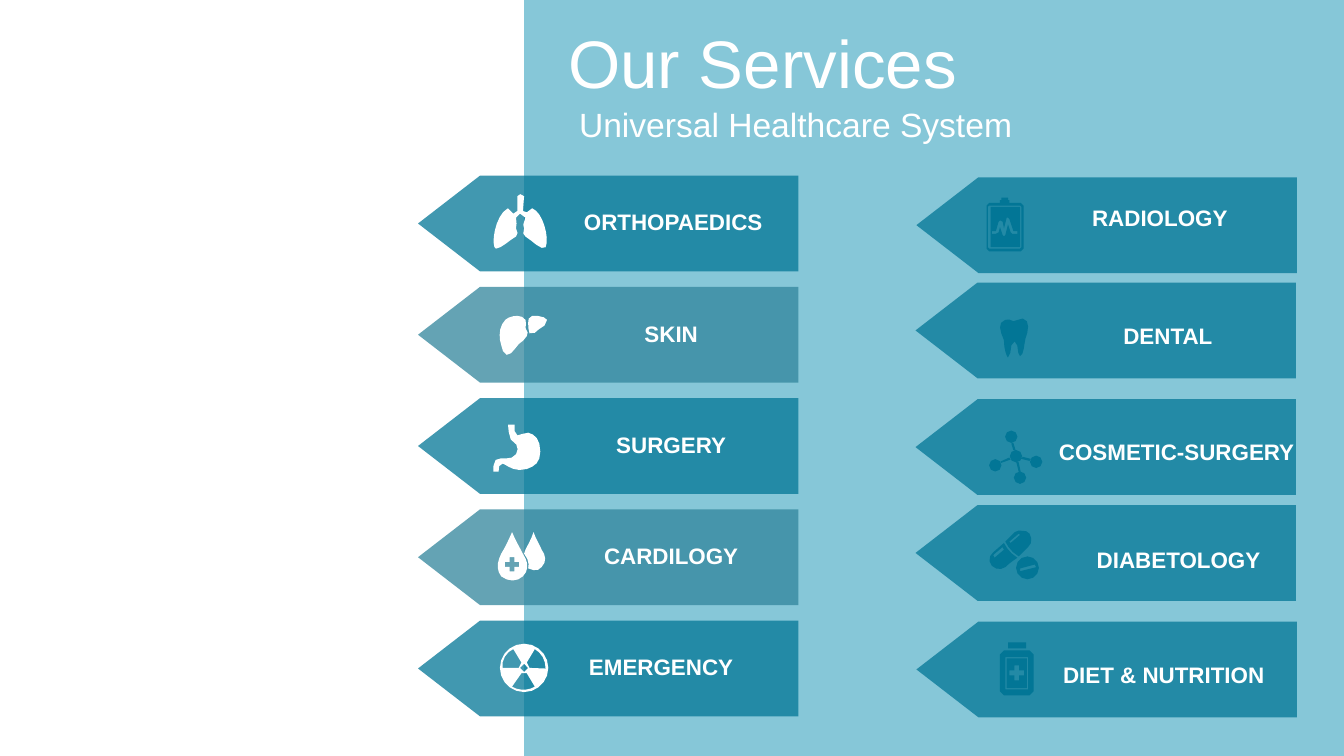
from dataclasses import dataclass
from math import ceil

from lxml.etree import SubElement
from pptx import Presentation
from pptx.dml.color import RGBColor
from pptx.enum.shapes import MSO_SHAPE as Preset
from pptx.enum.text import MSO_ANCHOR as Anchor, MSO_AUTO_SIZE as AutoSize, PP_ALIGN as Align
from pptx.oxml.ns import qn
from pptx.shapes.autoshape import Shape
from pptx.shapes.shapetree import SlideShapes
from pptx.util import Pt

WHITE, AQUA, TEAL, MUTED_TEAL = "FFFFFF", "4BACC6", "027696", "31859C"
ARROW_WIDTH, ARROW_HEIGHT, LABEL_HEIGHT = 203.8, 51.3, 21.6
LEFT_COLUMN, LEFT_TOP, LEFT_STEP, LABEL_DROP = 224, 94.1, 59.6, 14.1
ICON_UNIT = 0.72  # points per unit of the icon paths
CURVE_PIECE = 4  # icon units covered by one line of a curve
ARGUMENTS = {"M": 2, "L": 2, "C": 6, "Z": 0}


@dataclass
class Service:
    label: str
    center: float
    label_width: float
    icon: str
    arrow_left: float
    arrow_top: float
    label_top: float
    arrow_color: str
    icon_color: str


def round_box(left: float, top: float, right: float, bottom: float, radius: float = 0) -> str:
    near = radius * 0.45
    return (f"M {left + radius} {top} L {right - radius} {top} "
            f"C {right - near} {top} {right} {top + near} {right} {top + radius} "
            f"L {right} {bottom - radius} "
            f"C {right} {bottom - near} {right - near} {bottom} {right - radius} {bottom} "
            f"L {left + radius} {bottom} "
            f"C {left + near} {bottom} {left} {bottom - near} {left} {bottom - radius} "
            f"L {left} {top + radius} "
            f"C {left} {top + near} {left + near} {top} {left + radius} {top} Z ")


def circle(x: float, y: float, radius: float) -> str:
    return round_box(x - radius, y - radius, x + radius, y + radius, radius)


def plus(x: float, y: float, arm: float, half: float) -> str:
    corners = [(-half, -arm), (half, -arm), (half, -half), (arm, -half), (arm, half), (half, half),
               (half, arm), (-half, arm), (-half, half), (-arm, half), (-arm, -half), (-half, -half)]
    return "M " + " L ".join(f"{x + dx} {y + dy}" for dx, dy in corners) + " Z "


LUNGS = """M 385 146 C 384 144 390 144 390 146 L 389 157 L 392 158 C 393 157 394 154 396 155
C 404 158 409 177 406 184 C 403 187 396 179 391 176 C 388 175 390 173 390 170
C 390 168 388 167 391 162 L 387 159 L 384 162
C 385 165 384 168 384 170 C 385 172 386 175 384 176 C 380 178 373 185 369 185
C 365 184 368 160 378 155 C 380 154 381 158 382 159 L 385 157 Z"""
LIVER = """M 400 235 C 403 235 407 237 407 238 C 407 241 404 244 401 245 C 399 246 397 250 394 248
C 393 246 393 242 393 240 C 393 238 393 236 396 235 Z
M 385 235 C 387 235 390 236 391 238 C 392 240 391 242 391 244 C 392 246 394 249 392 250
C 391 253 388 254 386 256 C 384 258 380 265 377 264 C 374 263 374 260 373 257
C 371 251 371 243 376 238 C 378 236 382 235 385 235 Z"""
STOMACH = """M 378 316 L 383 316 C 383 319 382 323 385 324 C 388 325 388 321 393 322
C 398 323 402 327 402 336 C 402 344 398 347 392 349 C 382 352 376 345 374 345
C 371 345 371 348 371 351 L 367 351 C 367 347 367 340 373 341 C 377 341 381 342 384 338
C 386 334 386 331 380 327 C 380 326 378 322 378 316 Z"""
DROPS = plus(381, 420, 5.3, 1.8) + """M 397 396 C 399 402 402 406 403 409 C 406 413 407 418 403 422
C 401 425 397 425 393 423 C 394 420 393 416 390 412 L 391 409 C 393 405 395 402 397 396 Z
M 381 396 C 384 403 387 408 389 412 C 393 418 394 424 389 429 C 385 433 378 433 373 429
C 369 424 370 418 373 412 C 376 407 378 403 381 396 Z"""
RADIATION = circle(390, 497, 18) + circle(390, 497, 3) + """M 388 501 L 381 511 C 386 514 393 514 398 511
L 392 501 Z M 398 483 L 392 493 L 394 497 L 406 497.5 C 406 491 403 486 398 483 Z
M 382 483 C 377 485 373 491 374 497 L 386 497 L 388 493 Z"""
CLIPBOARD = (round_box(734, 151, 761.5, 187, 2) + round_box(735, 153, 760, 185, 1)
             + round_box(737, 154, 759, 184) + round_box(744, 149, 751, 151)
             + round_box(745, 147, 750, 149)
             + """M 738 172 L 741 172 L 743 165 L 744 164 L 746 165 L 747 170 L 749 162 L 750 162
L 751 163 L 754 172 L 757 172 L 757 174 L 753 174 L 752 173 L 750 167 L 748 175 L 747 176
L 746 175 L 744 169 L 743 173 L 741 174 L 738 174 Z""")
TOOTH = """M 748 238 C 742 240 744 246 747 253 C 747 260 749 265 750 266 C 753 265 751 254 755 254
C 758 254 757 266 759 265 C 762 264 762 256 763 252 C 765 247 767 238 761 237
L 754 239 C 752 238 750 237 748 238 Z"""
MOLECULE = "".join(circle(x, y, 4.6) for x, y in [
    (752.5, 325), (771, 343.7), (740.6, 346.3), (759, 355.5), (756, 339.5)]) + """
M 752.5 330 L 754 329.5 L 755.7 335 L 754 335 Z M 761 340 L 767 341.5 L 766 343 L 760 341.5 Z
M 744.5 343.5 L 751 340.5 L 752 342 L 745 344.5 Z M 756.3 344 L 758 344 L 759.5 351 L 758 351 Z"""
PILLS = circle(764.5, 422.5, 8.5) + """M 770 420 L 759 423 L 759 425 L 771 422 Z
M 746 407 L 739 413 L 740 415 L 747 409 Z
M 747 404 C 749 408 752 412 757 415 C 754 417 751 419 748 422 C 745 424 741 424 738 421
C 735 418 736 413 739 411 Z
M 758 397 L 751 403 L 752 404 L 759 398 Z
M 761 395 C 763 395 764 395 766 397 C 768 400 768 405 765 407 L 758 414 C 753 411 750 407 748 403
L 755 396 C 757 395 759 394 761 395 Z"""
BOTTLE = (round_box(744, 484, 769, 517.5, 3) + round_box(748, 489, 765, 513)
          + round_box(749, 490, 764, 512) + plus(756.5, 500.7, 5.5, 1.8)
          + round_box(750, 478, 763.5, 482.5))

LEFT_SERVICES = [("ORTHOPAEDICS", 360.7, 112.3, LUNGS), ("SKIN", 359.6, 91.4, LIVER),
                 ("SURGERY", 359.6, 91.4, STOMACH), ("CARDILOGY", 359.6, 91.4, DROPS),
                 ("EMERGENCY", 354.2, 102.2, RADIATION)]
RIGHT_SERVICES = [("RADIOLOGY", 621.4, 112.3, CLIPBOARD, 491, 95, 105.8),
                  ("DENTAL", 625.7, 112.3, TOOTH, 490.5, 151.4, 169.2),
                  ("COSMETIC-SURGERY", 630.4, 143.3, MOLECULE, 490.5, 213.9, 231.1),
                  ("DIABETOLOGY", 631.4, 112.3, PILLS, 490.5, 270.6, 288.8),
                  ("DIET & NUTRITION", 623.5, 129.6, BOTTLE, 491, 333, 350.8)]


def paint(shape: Shape, color: str, opacity: int = 100) -> None:
    """Give a flat fill without line or shadow; opacity is in percent."""
    shape.shadow.inherit = False
    shape.line.fill.background()
    shape.fill.solid()
    shape.fill.fore_color.rgb = RGBColor.from_string(color)
    if opacity < 100:
        tint = shape.element.spPr.find(f"{qn('a:solidFill')}/{qn('a:srgbClr')}")
        SubElement(tint, qn("a:alpha")).set("val", str(opacity * 1000))


def add_panel(shapes: SlideShapes, preset: Preset, left: float, top: float,
              width: float, height: float, color: str, opacity: int) -> Shape:
    panel = shapes.add_shape(preset, Pt(left), Pt(top), Pt(width), Pt(height))
    paint(panel, color, opacity)
    return panel


def add_text(shapes: SlideShapes, wording: str, left: float, top: float, width: float, height: float,
             size: float, bold: bool, align: Align, anchor: Anchor, fit: AutoSize) -> None:
    frame = shapes.add_textbox(Pt(left), Pt(top), Pt(width), Pt(height)).text_frame
    line = frame.paragraphs[0]
    run = line.add_run()
    run.text = wording
    run.font.color.rgb = RGBColor.from_string(WHITE)
    formats = {frame: {"word_wrap": True, "vertical_anchor": anchor, "auto_size": fit},
               line: {"alignment": align},
               run.font: {"name": "Arial", "size": Pt(size), "bold": bold}}
    for target, values in formats.items():
        for attribute, value in values.items():
            setattr(target, attribute, value)


def contours(path: str) -> list[list[tuple[int, int]]]:
    """Turn a path into closed polygons in slide lengths, with curves cut into short lines."""
    outlines: list[list[tuple[float, float]]] = []
    tokens = iter(path.split())
    for command in tokens:
        numbers = [float(next(tokens)) for _ in range(ARGUMENTS[command])]
        points = list(zip(numbers[::2], numbers[1::2]))
        if command == "M":
            outlines.append(points)
        elif command == "L":
            outlines[-1] += points
        elif command == "C":
            corners = [outlines[-1][-1], *points]
            span = max(abs(end - start) for start, end in zip(corners[0], corners[-1]))
            steps = ceil(span / CURVE_PIECE)
            for step in range(1, steps + 1):
                t = step / steps
                weights = ((1 - t) ** 3, 3 * t * (1 - t) ** 2, 3 * t * t * (1 - t), t ** 3)
                outlines[-1].append(tuple(sum(w * corner[axis] for w, corner in zip(weights, corners))
                                          for axis in (0, 1)))
    return [list(dict.fromkeys((Pt(x * ICON_UNIT), Pt(y * ICON_UNIT)) for x, y in outline))
            for outline in outlines]


def add_icon(shapes: SlideShapes, path: str, color: str) -> None:
    first, *others = contours(path)
    builder = shapes.build_freeform(*first[0])
    builder.add_line_segments(first[1:], close=True)
    for outline in others:
        builder.move_to(*outline[0])
        builder.add_line_segments(outline[1:], close=True)
    paint(builder.convert_to_shape(), color)


def add_service(shapes: SlideShapes, service: Service) -> None:
    arrow = add_panel(shapes, Preset.PENTAGON, service.arrow_left, service.arrow_top,
                      ARROW_WIDTH, ARROW_HEIGHT, service.arrow_color, 75)
    arrow.adjustments[0] = 0.647
    arrow.element.spPr.xfrm.set("flipH", "1")
    add_text(shapes, service.label, service.center - service.label_width / 2, service.label_top,
             service.label_width, LABEL_HEIGHT, 12, True, Align.CENTER, Anchor.TOP,
             AutoSize.SHAPE_TO_FIT_TEXT)
    add_icon(shapes, service.icon, service.icon_color)


def main() -> None:
    deck = Presentation()
    deck.slide_width, deck.slide_height = Pt(720), Pt(405)
    shapes = deck.slides.add_slide(deck.slide_layouts[6]).shapes
    add_panel(shapes, Preset.RECTANGLE, 280.8, 0, 439.2, 405, AQUA, 67)
    for heading, left, top, width, height, size in [
            ("Our Services", 297.4, 10.1, 416.9, 45.4, 36),
            ("Universal Healthcare System", 303.1, 55.4, 416.9, 22.3, 18)]:
        add_text(shapes, heading, left, top, width, height, size, False,
                 Align.LEFT, Anchor.MIDDLE, AutoSize.NONE)
    for row, entry in enumerate(LEFT_SERVICES):
        top = LEFT_TOP + row * LEFT_STEP
        color = MUTED_TEAL if row % 2 else TEAL
        add_service(shapes, Service(*entry, LEFT_COLUMN, top, top + LABEL_DROP, color, WHITE))
    for entry in RIGHT_SERVICES:
        add_service(shapes, Service(*entry, TEAL, TEAL))
    deck.save("out.pptx")


if __name__ == "__main__":
    main()
